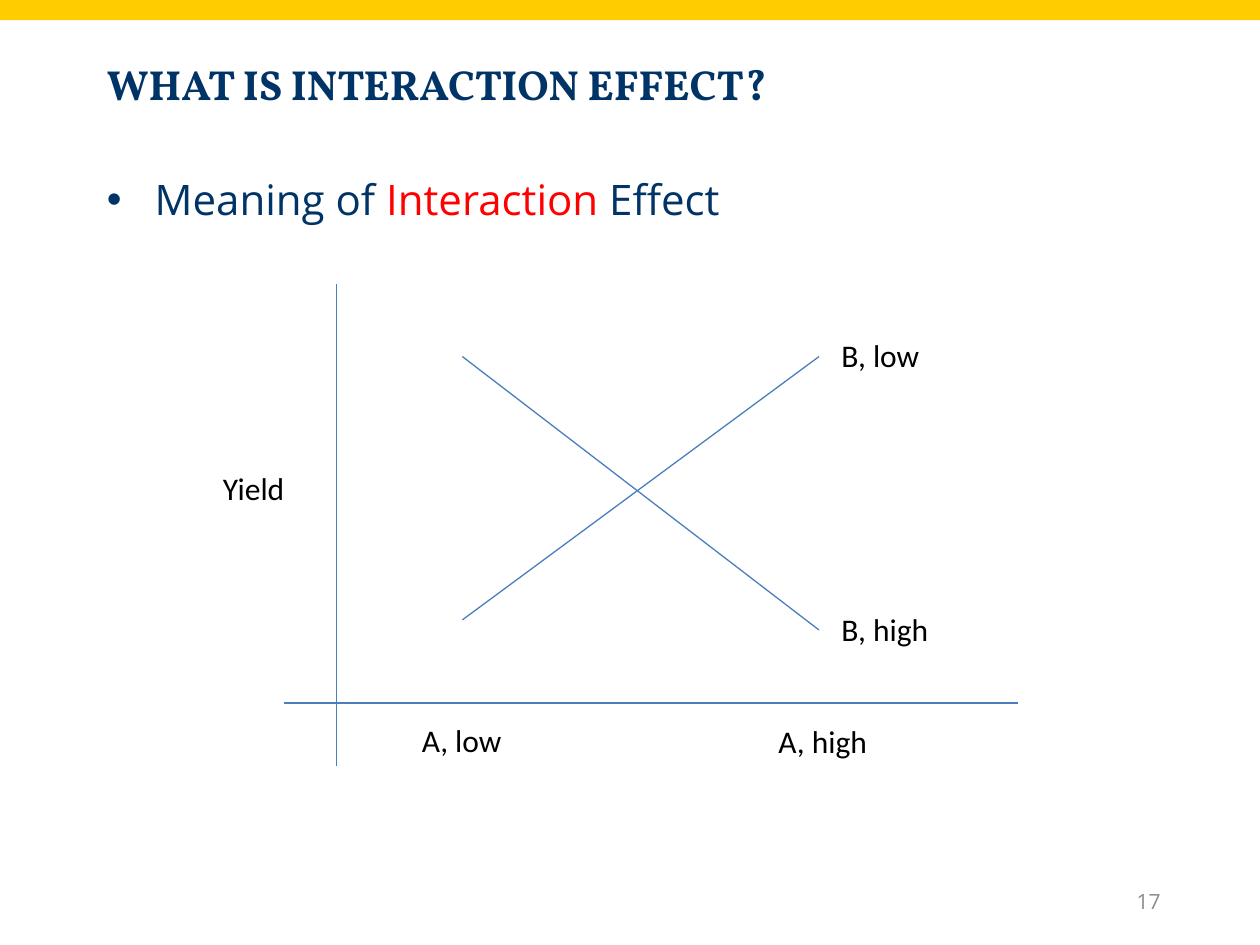
from lxml.etree import SubElement
from pptx import Presentation
from pptx.dml.color import RGBColor
from pptx.enum.shapes import MSO_CONNECTOR, MSO_SHAPE
from pptx.enum.text import MSO_ANCHOR, PP_ALIGN
from pptx.oxml.ns import qn
from pptx.util import Inches, Pt

COLORS = {"band": "FFCC00", "navy": "003366", "accent": "FF0000",
          "line": "4B7EBC", "label": "000000", "number": "8C8C8C"}

# Content
TITLE = "WHAT IS INTERACTION EFFECT?"
BULLET = [("Meaning of ", "navy"), ("Interaction", "accent"), (" Effect", "navy")]
NUMBER = "17"

# Diagram: lines as x1, y1, x2, y2; labels as text, left, top, width, height
X_LOW, X_HIGH, Y_TOP = 3.67, 6.5, 2.83
LINES = [
    (2.67, 2.25, 2.67, 6.08),
    (2.25, 5.58, 8.08, 5.58),
    (X_LOW, 4.92, X_HIGH, Y_TOP),
    (X_LOW, Y_TOP, X_HIGH, 5),
]
LABELS = [
    ("Yield", 1.67, 3.67, 0.75, 0.4),
    ("A, low", 3.25, 5.67, 1, 0.42),
    ("A, high", 6.08, 5.68, 1, 0.42),
    ("B, low", 6.58, 2.62, 1, 0.42),
    ("B, high", 6.58, 4.79, 1, 0.42),
]


def rgb(name):
    return RGBColor.from_string(COLORS[name])


def add_text(s, runs, box, font, size, bold=False, anchor=MSO_ANCHOR.TOP,
             align=PP_ALIGN.LEFT):
    tf = s.shapes.add_textbox(*map(Inches, box)).text_frame
    tf.word_wrap = True
    tf.vertical_anchor = anchor
    p = tf.paragraphs[0]
    p.alignment = align
    for text, color in runs:
        r = p.add_run()
        r.text = text
        r.font.name, r.font.size, r.font.bold = font, Pt(size), bold
        r.font.color.rgb = rgb(color)
    return p


def add_bullet(p, indent):
    pPr = p._p.get_or_add_pPr()
    pPr.set("marL", str(Inches(indent)))
    pPr.set("indent", str(-Inches(indent)))
    SubElement(pPr, qn("a:buFont")).set("typeface", "Arial")
    SubElement(pPr, qn("a:buChar")).set("char", "•")


def add_line(s, ends):
    line = s.shapes.add_connector(MSO_CONNECTOR.STRAIGHT, *map(Inches, ends))
    line.line.color.rgb = rgb("line")
    line.line.width = Pt(0.75)
    SubElement(line._element.spPr, qn("a:effectLst"))


def main():
    prs = Presentation()
    prs.slide_width, prs.slide_height = Inches(10), Inches(7.5)
    s = prs.slides.add_slide(prs.slide_layouts[6])

    # Top band
    band = s.shapes.add_shape(MSO_SHAPE.RECTANGLE, 0, 0, prs.slide_width, Inches(0.16))
    band.shadow.inherit = False
    band.fill.solid()
    band.fill.fore_color.rgb = rgb("band")
    band.line.fill.background()

    # Title and bullet
    add_text(s, [(TITLE, "navy")], (0.75, 0.25, 8.5, 0.83), "Vollkorn", 24,
             bold=True, anchor=MSO_ANCHOR.MIDDLE)
    add_bullet(add_text(s, BULLET, (0.75, 1.33, 8.5, 4.92), "Open Sans", 24), 0.38)

    # Interaction diagram
    for ends in LINES:
        add_line(s, ends)
    for text, *box in LABELS:
        add_text(s, [(text, "label")], box, "Calibri", 18)

    # Slide number
    add_text(s, [(NUMBER, "number")], (7.06, 6.95, 2.25, 0.4), "Open Sans", 12,
             anchor=MSO_ANCHOR.MIDDLE, align=PP_ALIGN.RIGHT)

    prs.save("out.pptx")


if __name__ == "__main__":
    main()
